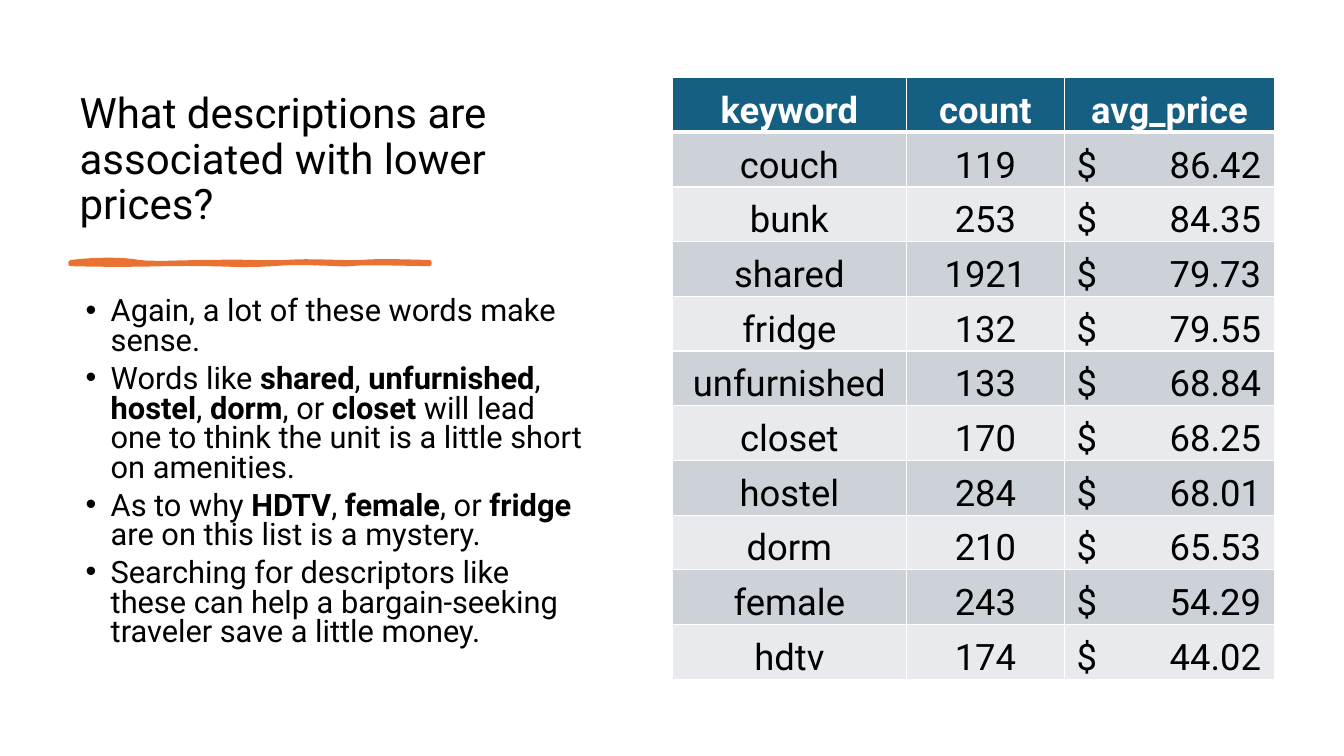
from dataclasses import dataclass

from lxml.etree import SubElement
from pptx import Presentation
from pptx.dml.color import RGBColor
from pptx.enum.text import MSO_ANCHOR, MSO_AUTO_SIZE, PP_ALIGN
from pptx.oxml import parse_xml
from pptx.oxml.ns import nsdecls, qn
from pptx.util import Inches, Pt

FONT = "Roboto"
COLORS = {
    "text": "000000",
    "white": "FFFFFF",
    "accent": "E97132",
    "header": "156082",
    "odd": "CCD2D8",
    "even": "E8EAED",
}
TITLE = "What descriptions are associated with lower prices?"
BULLETS = [
    "Again, a lot of these words make sense.",
    "Words like **shared**, **unfurnished**, **hostel**, **dorm**, or **closet** "
    "will lead one to think the unit is a little short on amenities.",
    "As to why **HDTV**, **female**, or **fridge** are on this list is a mystery.",
    "Searching for descriptors like these can help a bargain-seeking traveler "
    "save a little money.",
]
HEADERS = ("keyword", "count", "avg_price")
COLUMN_WIDTHS = (2.32, 1.57, 2.08)
TABLE_HEIGHT = 5.97
STROKE_START = (0.7, 2.6)
STROKE_CURVES = [
    ((0.97, 2.57), (1.21, 2.57), (1.38, 2.6)),
    ((1.55, 2.62), (1.77, 2.6), (2.09, 2.6)),
    ((2.41, 2.59), (2.6, 2.61), (2.84, 2.6)),
    ((3.08, 2.58), (3.39, 2.61), (3.59, 2.6)),
    ((3.79, 2.58), (4.12, 2.6), (4.26, 2.6)),
    ((4.26, 2.6), (4.26, 2.61), (4.26, 2.62)),
    ((4.08, 2.62), (3.64, 2.6), (3.48, 2.62)),
    ((3.32, 2.63), (3.04, 2.59), (2.7, 2.62)),
    ((2.35, 2.64), (2.31, 2.62), (1.99, 2.62)),
    ((1.66, 2.61), (1.32, 2.64), (0.7, 2.62)),
]
UNITS_PER_INCH = 1000
STEPS_PER_CURVE = 8


@dataclass
class Keyword:
    word: str
    count: int
    price: float


KEYWORDS = [
    Keyword("couch", 119, 86.42),
    Keyword("bunk", 253, 84.35),
    Keyword("shared", 1921, 79.73),
    Keyword("fridge", 132, 79.55),
    Keyword("unfurnished", 133, 68.84),
    Keyword("closet", 170, 68.25),
    Keyword("hostel", 284, 68.01),
    Keyword("dorm", 210, 65.53),
    Keyword("female", 243, 54.29),
    Keyword("hdtv", 174, 44.02),
]


def color(name: str) -> RGBColor:
    return RGBColor.from_string(COLORS[name])


def set_font(para, size: float, name: str = "text", bold=None) -> None:
    font = para.font
    font.name, font.size, font.bold = FONT, Pt(size), bold
    font.color.rgb = color(name)


def place(shape, left: float, top: float, width: float, height: float) -> None:
    shape.left, shape.top = Inches(left), Inches(top)
    shape.width, shape.height = Inches(width), Inches(height)


def add_title(page) -> None:
    title = page.shapes.title
    place(title, 0.69, 0.7, 5.27, 1.62)
    frame = title.text_frame
    frame.text = TITLE
    frame.word_wrap = True
    frame.auto_size = MSO_AUTO_SIZE.NONE
    frame.vertical_anchor = MSO_ANCHOR.BOTTOM
    para = frame.paragraphs[0]
    para.alignment = PP_ALIGN.LEFT
    para.line_spacing = 0.9
    set_font(para, 30)


def curve_point(t: float, corners: tuple) -> tuple:
    return tuple(
        UNITS_PER_INCH
        * ((1 - t) ** 3 * a + 3 * (1 - t) ** 2 * t * b + 3 * (1 - t) * t ** 2 * c + t ** 3 * d)
        for a, b, c, d in zip(*corners)
    )


def add_brush_stroke(page) -> None:
    points, start = [], STROKE_START
    for curve in STROKE_CURVES:
        for step in range(1, STEPS_PER_CURVE + 1):
            points.append(curve_point(step / STEPS_PER_CURVE, (start, *curve)))
        start = curve[-1]
    left, top = (UNITS_PER_INCH * value for value in STROKE_START)
    builder = page.shapes.build_freeform(left, top, scale=Inches(1) / UNITS_PER_INCH)
    builder.add_line_segments(points, close=True)
    stroke = builder.convert_to_shape()
    stroke.shadow.inherit = False
    stroke.fill.solid()
    stroke.fill.fore_color.rgb = color("accent")
    stroke.line.color.rgb = color("accent")
    stroke.line.width = Pt(3)
    SubElement(stroke.line._get_or_add_ln(), qn("a:round"))


def add_bullets(page) -> None:
    box = page.shapes.add_textbox(Inches(0.69), Inches(2.91), Inches(5.27), Inches(3.88))
    frame = box.text_frame
    frame.word_wrap = True
    for index, text in enumerate(BULLETS):
        para = frame.add_paragraph() if index else frame.paragraphs[0]
        para.line_spacing = 0.8
        para.space_after = Pt(6)
        properties = para._p.get_or_add_pPr()
        properties.set("marL", str(Inches(0.31)))
        properties.set("indent", str(Inches(-0.25)))
        SubElement(properties, qn("a:buFont"), typeface="Arial")
        SubElement(properties, qn("a:buChar"), char="•")
        set_font(para, 22)
        for part, piece in enumerate(text.split("**")):
            span = para.add_run()
            span.text = piece
            if part % 2:
                span.font.bold = True


def set_borders(cell, top: float, bottom: float) -> None:
    properties = cell._tc.get_or_add_tcPr()
    for index, (side, width) in enumerate(zip("LRTB", (1, 1, top, bottom))):
        properties.insert(index, parse_xml(
            f'<a:ln{side} {nsdecls("a")} w="{Pt(width)}"><a:solidFill>'
            f'<a:srgbClr val="{COLORS["white"]}"/></a:solidFill></a:ln{side}>'
        ))


def set_price_tab(cell) -> None:
    cell.margin_left = Inches(0.12)
    para = cell.text_frame.paragraphs[0]
    para.alignment = PP_ALIGN.LEFT
    tabs = SubElement(para._p.get_or_add_pPr(), qn("a:tabLst"))
    SubElement(tabs, qn("a:tab"), pos=str(Inches(1.83)), algn="r")


def add_keyword_table(page) -> None:
    rows = [HEADERS] + [(k.word, str(k.count), f"$\t{k.price:.2f}") for k in KEYWORDS]
    table = page.shapes.add_table(
        len(rows), len(HEADERS), Inches(6.67), Inches(0.77),
        Inches(sum(COLUMN_WIDTHS)), Inches(TABLE_HEIGHT),
    ).table
    for column, width in zip(table.columns, COLUMN_WIDTHS):
        column.width = Inches(width)
    for row, values in enumerate(rows):
        table.rows[row].height = Inches(TABLE_HEIGHT / len(rows))
        fill = "header" if row == 0 else "odd" if row % 2 else "even"
        for column, value in enumerate(values):
            cell = table.cell(row, column)
            cell.text = value
            cell.vertical_anchor = MSO_ANCHOR.BOTTOM
            cell.margin_left = cell.margin_right = cell.margin_top = Inches(0.02)
            cell.margin_bottom = 0
            cell.fill.solid()
            cell.fill.fore_color.rgb = color(fill)
            set_borders(cell, 3 if row == 1 else 1, 3 if row == 0 else 1)
            para = cell.text_frame.paragraphs[0]
            para.alignment = PP_ALIGN.CENTER
            if row and column == 2:
                set_price_tab(cell)
            set_font(para, 26, "text" if row else "white", row == 0)


def main() -> None:
    """Build the slide on keywords linked with lower prices."""
    deck = Presentation()
    deck.slide_width, deck.slide_height = Inches(13.33), Inches(7.5)
    page = deck.slides.add_slide(deck.slide_layouts[5])
    add_title(page)
    add_brush_stroke(page)
    add_bullets(page)
    add_keyword_table(page)
    deck.save("out.pptx")


if __name__ == "__main__":
    main()
